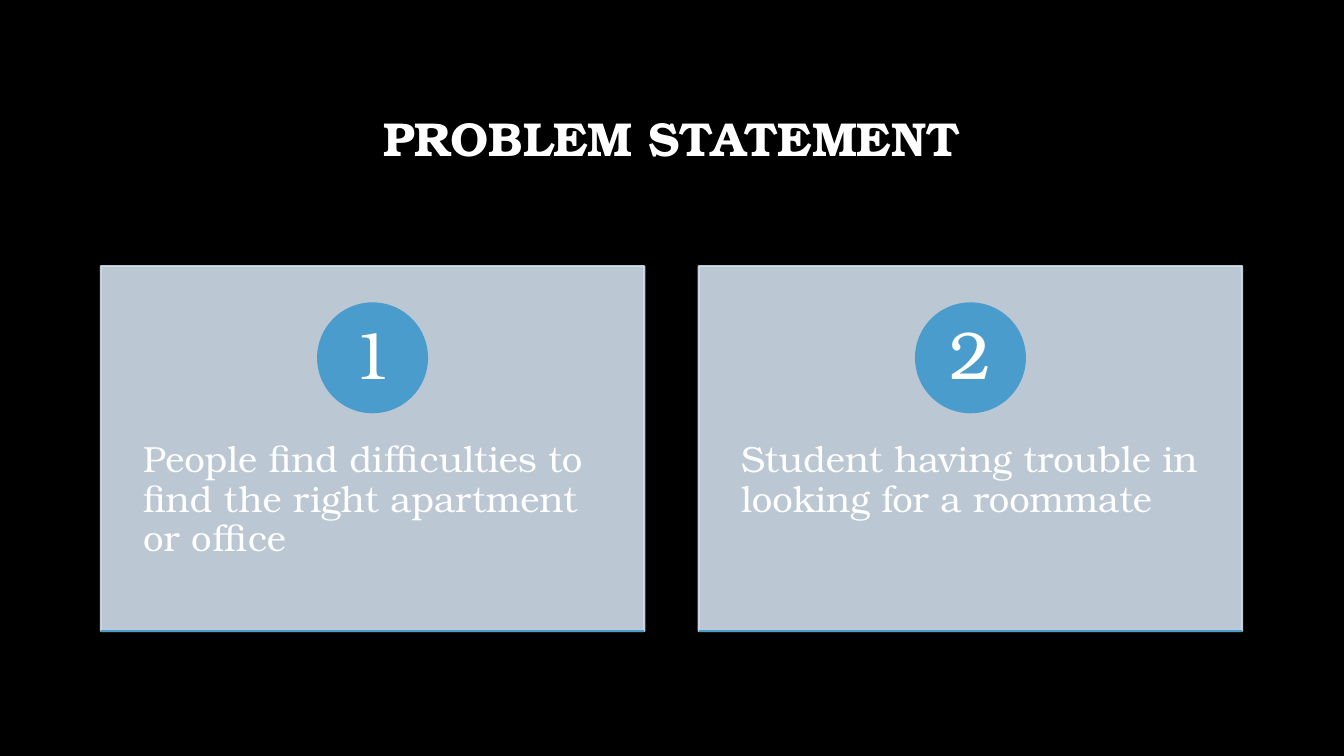
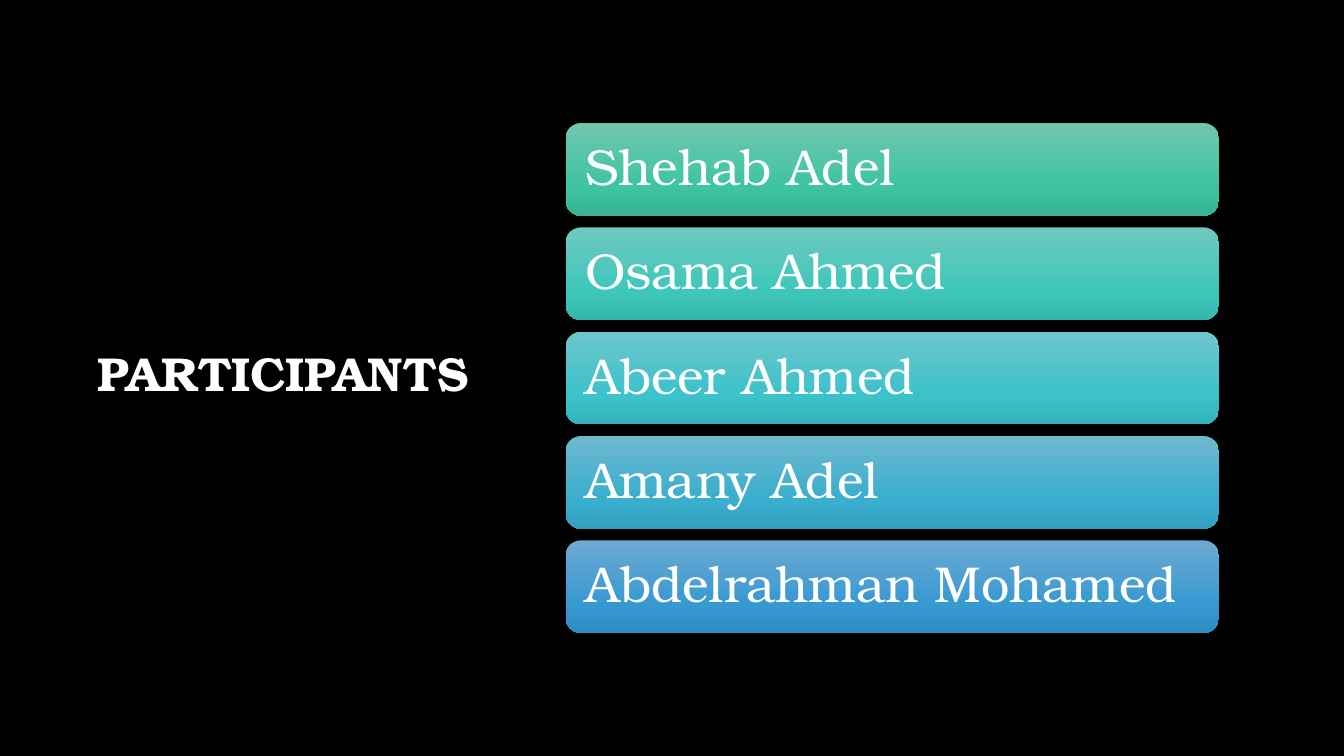
from copy import deepcopy
from lxml.etree import SubElement as Sub
from pptx import Presentation
from pptx.dml.color import RGBColor as RGB
from pptx.enum.shapes import MSO_CONNECTOR as Link, MSO_SHAPE as Shape
from pptx.enum.text import MSO_ANCHOR as Anchor, PP_ALIGN as Align
from pptx.oxml.ns import qn
from pptx.util import Inches, Pt

FONT = "TeX Gyre Bonum"
HUES = {"back": "000000", "text": "FFFFFF", "card": "D0DEEC", "blue": "4A9CCC"}


class Deck:
    def __init__(self):
        self.prs = Presentation()
        self.prs.slide_width = Inches(13.33)
        self.prs.slide_height = Inches(7.5)
        self.slide = None

    def page(self):
        self.slide = self.prs.slides.add_slide(self.prs.slide_layouts[6])
        self.paint(self.slide.background.fill, "back")

    def paint(self, fill, hue, alpha=100):
        fill.solid()
        fill.fore_color.rgb = RGB.from_string(HUES[hue])
        if alpha < 100:
            tint = fill._xPr.find(qn("a:solidFill"))[0]
            Sub(tint, qn("a:alpha"), val=str(alpha * 1000))

    def label(self, shape, text, size, align=Align.LEFT, anchor=Anchor.MIDDLE,
              pad=(0, 0, 0, 0), bold=False, wrap=True):
        frame = shape.text_frame
        frame.word_wrap = wrap
        frame.vertical_anchor = anchor
        (frame.margin_left, frame.margin_top,
         frame.margin_right, frame.margin_bottom) = map(Inches, pad)
        para = frame.paragraphs[0]
        para.text = text
        para.alignment = align
        para.line_spacing = 0.9
        font = para.font
        font.name, font.size, font.bold = FONT, Pt(size), bold
        font.color.rgb = RGB.from_string(HUES["text"])

    def title(self, text, *box):
        shape = self.slide.shapes.add_textbox(*map(Inches, box))
        self.label(shape, text, 34, Align.CENTER, bold=True,
                   pad=(0.1, 0.05, 0.1, 0.05))

    def shape(self, kind, *box):
        shape = self.slide.shapes.add_shape(kind, *map(Inches, box))
        shape.shadow.inherit = False
        return shape

    def solid(self, kind, hue, alpha, *box):
        shape = self.shape(kind, *box)
        self.paint(shape.fill, hue, alpha)
        self.paint(shape.line.fill, hue, alpha)
        shape.line.width = Pt(1.5)
        return shape

    def rule(self, left, top, width):
        ends = map(Inches, (left, top, left + width, top))
        line = self.slide.shapes.add_connector(Link.STRAIGHT, *ends)
        self.paint(line.line.fill, "blue")
        line.line.width = Pt(1.5)
        Sub(line._element.spPr, qn("a:effectLst"))

    def card(self, num, text, left, top, width, height):
        panel = self.solid(Shape.RECTANGLE, "card", 90, left, top, width, height)
        self.label(panel, text, 26, anchor=Anchor.TOP,
                   pad=(0.42, 1.74, 0.42, 0.36))
        size = 1.08
        badge = self.solid(Shape.OVAL, "blue", 100, left + (width - size) / 2,
                           top + 0.37, size, size)
        self.label(badge, str(num), 48, Align.CENTER, wrap=False)
        self.rule(left, top + height, width)

    def bar(self, text, hues, *box):
        shape = self.shape(Shape.ROUNDED_RECTANGLE, *box)
        shape.line.fill.background()
        fill = shape.fill
        fill.gradient()
        fill.gradient_angle = 270
        # The default gradient has two stops; a third is added
        stops = shape._element.spPr.find(".//" + qn("a:gsLst"))
        stops.append(deepcopy(stops[-1]))
        for stop, hue, pos in zip(fill.gradient_stops, hues, (0, 0.69, 1)):
            stop.color.rgb = RGB.from_string(hue)
            stop.position = pos
        self.label(shape, text, 36, pad=(0.15, 0.1, 0.15, 0.1))


def main():
    deck = Deck()

    # Problem statement: two numbered cards
    deck.page()
    deck.title("PROBLEM STATEMENT", 1, 0.67, 11.32, 1.45)
    needs = ("People find difficulties to find the right apartment or office",
             "Student having trouble in looking for a roommate")
    for i, need in enumerate(needs):
        deck.card(i + 1, need, 1 + i * 5.93, 2.64, 5.39, 3.62)

    # Participants: a stack of name bars
    deck.page()
    deck.title("PARTICIPANTS", 0.82, 0.67, 3.98, 6.13)
    team = (("Shehab Adel", ("70C6AF", "3EC4A3", "37B395")),
            ("Osama Ahmed", ("6FC9C0", "3DC7BA", "35B7AB")),
            ("Abeer Ahmed", ("6EC6CC", "3BC2CB", "33B2BA")),
            ("Amany Adel", ("6EB8CF", "39AECE", "31A0BE")),
            ("Abdelrahman Mohamed", ("6DAAD2", "3799D2", "2F8CC2")))
    top, bottom, height = 1.22, 6.28, 0.92
    step = (bottom - top - height) / (len(team) - 1)
    for i, (name, hues) in enumerate(team):
        deck.bar(name, hues, 5.61, top + i * step, 6.48, height)

    deck.prs.save("out.pptx")


if __name__ == "__main__":
    main()
